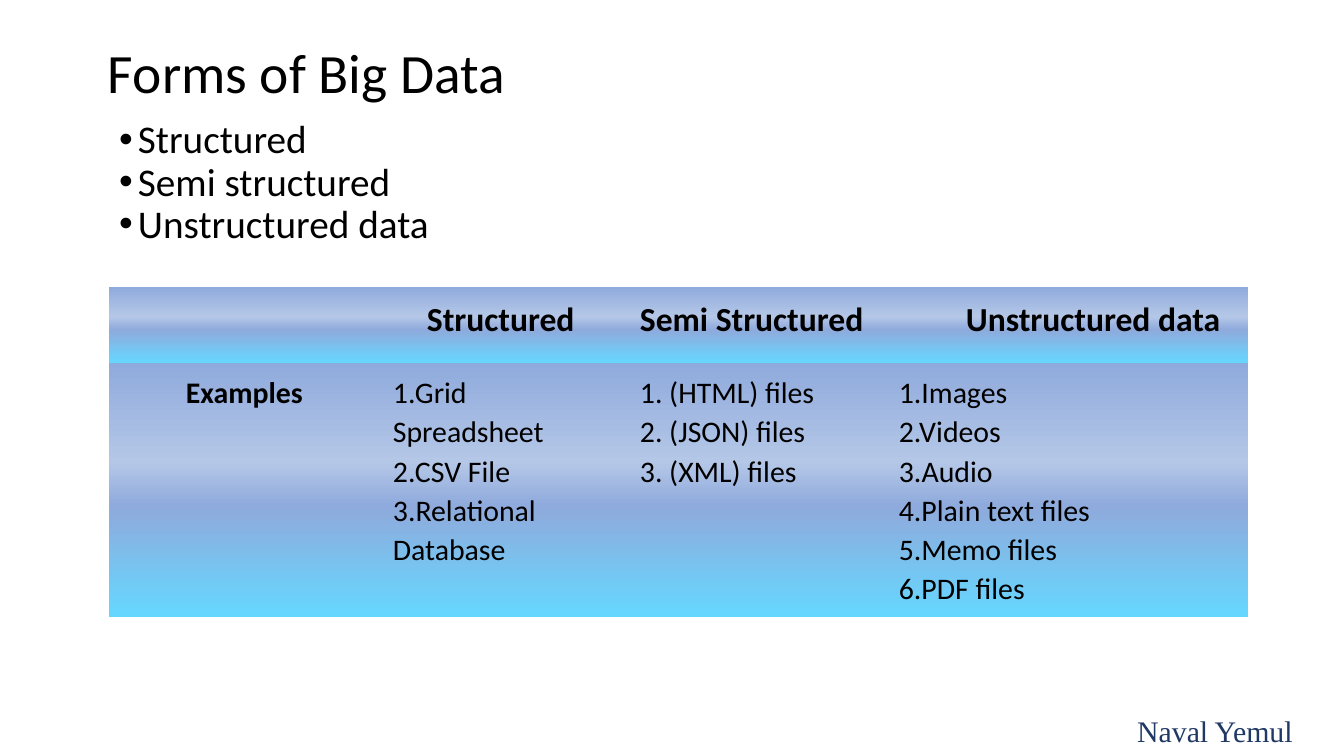
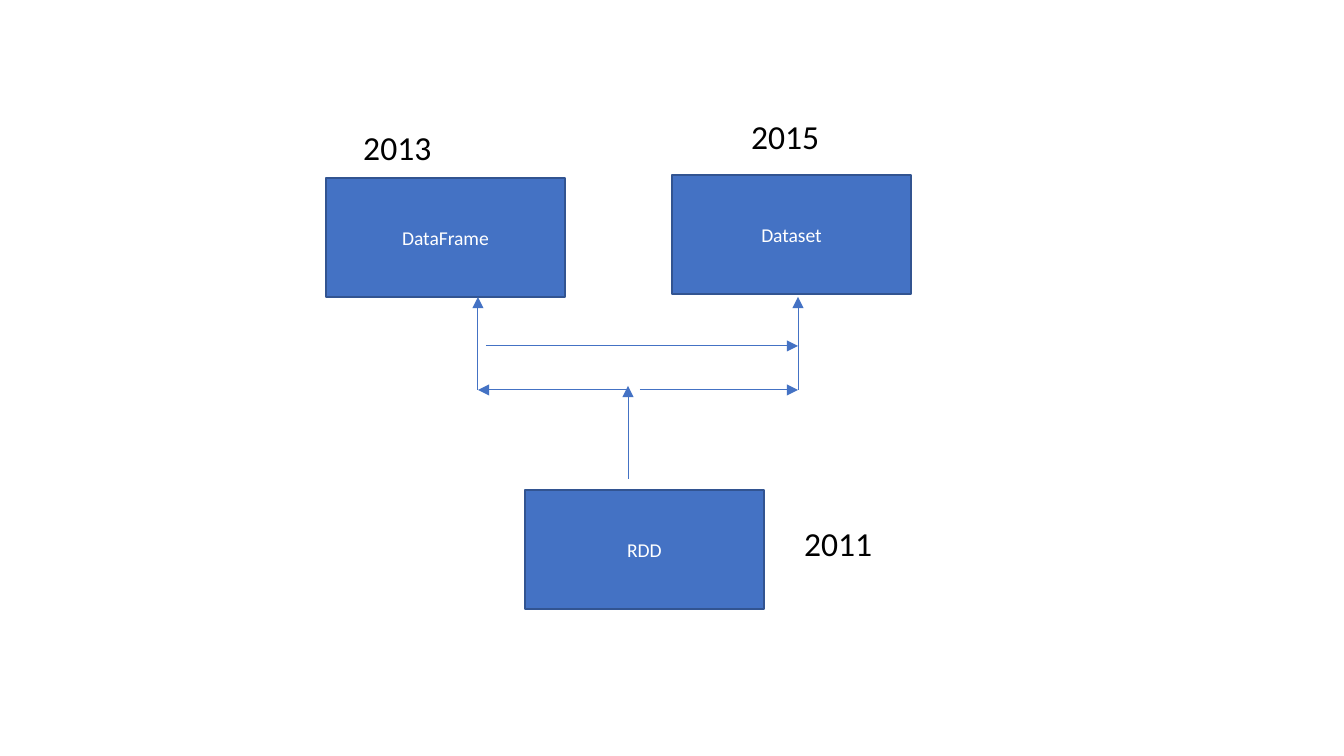
from lxml.etree import SubElement
from pptx import Presentation
from pptx.dml.color import RGBColor
from pptx.enum.shapes import MSO_CONNECTOR, MSO_SHAPE
from pptx.enum.text import MSO_ANCHOR, MSO_AUTO_SIZE, PP_ALIGN
from pptx.oxml.ns import qn
from pptx.util import Emu, Pt

# Shared measures, colours and fonts
PX_PER_INCH = 134.4
INSET = 10
BULLET_INDENT = 19
BLACK = RGBColor(0x00, 0x00, 0x00)
WHITE = RGBColor(0xFF, 0xFF, 0xFF)
BLUE = RGBColor(0x44, 0x72, 0xC4)
EDGE_BLUE = RGBColor(0x32, 0x54, 0x91)
NAVY = RGBColor(0x20, 0x38, 0x64)
PERIWINKLE = RGBColor(0x8F, 0xAA, 0xDC)
PALE_BLUE = RGBColor(0xB4, 0xC7, 0xE7)
CYAN = RGBColor(0x65, 0xD7, 0xFF)
CELL_GRADIENT = [(0, PERIWINKLE), (39, PALE_BLUE), (56, PERIWINKLE), (100, CYAN)]
SANS = "Calibri"
SERIF = "Times New Roman"
NO_TABLE_STYLE = "{2D5ABB26-0587-4C30-8999-92F81FD0307C}"

# Table content
COLUMN_WIDTHS = [274, 247, 259, 359]
ROW_HEIGHTS = [76, 238]
HEADINGS = ["Structured", "Semi Structured", "Unstructured data"]
HEADING_INDENTS = [34, 0, 67]
EXAMPLES = [
    ["1.Grid Spreadsheet", "2.CSV File", "3.Relational Database"],
    ["1. (HTML) files", "2. (JSON) files", "3. (XML) files"],
    ["1.Images", "2.Videos", "3.Audio", "4.Plain text files", "5.Memo files", "6.PDF files"],
]

# Diagram content
BOX_SIZE = (239, 119)
BOXES = [("DataFrame", 326, 178), ("Dataset", 672, 175), ("RDD", 525, 490)]
YEARS = [("2011", 791, 516), ("2013", 350, 120), ("2015", 738, 109)]
LEFT_X, CENTRE_X, RIGHT_X = 478, 628, 798
TIP_Y, FORK_Y = 297, 390
ARROWS = [
    (640, FORK_Y, RIGHT_X, FORK_Y),
    (CENTRE_X, FORK_Y, LEFT_X, FORK_Y),
    (CENTRE_X, 479, CENTRE_X, 386),
    (RIGHT_X, FORK_Y, RIGHT_X, TIP_Y),
    (LEFT_X, FORK_Y, LEFT_X, TIP_Y),
    (486, 346, RIGHT_X, 346),
]


def px(length):
    return Emu(round(length * 914400 / PX_PER_INCH))


def place(shape, left, top, width, height):
    shape.left, shape.top = px(left), px(top)
    shape.width, shape.height = px(width), px(height)


def set_insets(target):
    target.margin_left = target.margin_right = px(INSET)
    target.margin_top = target.margin_bottom = px(INSET)


def add_bullet(paragraph):
    properties = paragraph._p.get_or_add_pPr()
    properties.set("marL", str(px(BULLET_INDENT)))
    properties.set("indent", str(-px(BULLET_INDENT)))
    SubElement(properties, qn("a:buChar"), char="•")


def write_lines(frame, lines, size, color=BLACK, font=SANS, bold=False,
                align=PP_ALIGN.LEFT, spacing=1.0, indent=0, bulleted=False):
    """Fill a text frame with one evenly formatted paragraph per line."""
    frame.word_wrap = True
    for number, line in enumerate(lines):
        paragraph = frame.add_paragraph() if number else frame.paragraphs[0]
        paragraph.text = line
        if bulleted:
            add_bullet(paragraph)
        if indent:
            paragraph._p.get_or_add_pPr().set("marL", str(px(indent)))
        paragraph.alignment = align
        paragraph.line_spacing = spacing
        paragraph.space_before = Pt(0)
        paragraph.font.name = font
        paragraph.font.size = Pt(size)
        paragraph.font.bold = bold
        paragraph.font.color.rgb = color


def fill_placeholder(holder, area, lines, size, bulleted=False):
    place(holder, *area)
    frame = holder.text_frame
    frame.auto_size = MSO_AUTO_SIZE.NONE
    frame.vertical_anchor = MSO_ANCHOR.TOP
    set_insets(frame)
    write_lines(frame, lines, size, spacing=0.9, bulleted=bulleted)


def add_rectangle(page, area, fill, edge=None):
    box = page.shapes.add_shape(MSO_SHAPE.RECTANGLE, *map(px, area))
    box.shadow.inherit = False
    box.fill.solid()
    box.fill.fore_color.rgb = fill
    if edge is None:
        box.line.fill.background()
    else:
        box.line.color.rgb = edge
        box.line.width = Pt(1)
    return box


def add_signature(page):
    box = add_rectangle(page, (1124, 706, 219, 50), WHITE)
    box.text_frame.vertical_anchor = MSO_ANCHOR.TOP
    write_lines(box.text_frame, ["Naval Yemul"], 16, NAVY, SERIF)


def fill_gradient(cell):
    gradient = SubElement(cell._tc.get_or_add_tcPr(), qn("a:gradFill"), rotWithShape="1")
    stops = SubElement(gradient, qn("a:gsLst"))
    for percent, color in CELL_GRADIENT:
        stop = SubElement(stops, qn("a:gs"), pos=str(percent * 1000))
        SubElement(stop, qn("a:srgbClr"), val=str(color))
    SubElement(gradient, qn("a:lin"), ang="5400000", scaled="0")


def add_forms_table(page):
    area = (109, 287, sum(COLUMN_WIDTHS), sum(ROW_HEIGHTS))
    table = page.shapes.add_table(
        len(ROW_HEIGHTS), len(COLUMN_WIDTHS), *map(px, area)).table
    table.first_row = table.horz_banding = False
    table._tbl.tblPr.find(qn("a:tableStyleId")).text = NO_TABLE_STYLE
    for column, width in zip(table.columns, COLUMN_WIDTHS):
        column.width = px(width)
    for row, height in zip(table.rows, ROW_HEIGHTS):
        row.height = px(height)
    for cell in table.iter_cells():
        set_insets(cell)
        fill_gradient(cell)

    def write_cell(row, column, lines, size, **style):
        style.setdefault("align", PP_ALIGN.JUSTIFY)
        frame = table.cell(row, column).text_frame
        write_lines(frame, lines, size, spacing=1.07, **style)
        return frame

    write_cell(1, 0, ["Examples"], 16, bold=True, indent=67)
    columns = zip(HEADINGS, HEADING_INDENTS, EXAMPLES)
    for number, (heading, indent, examples) in enumerate(columns, start=1):
        last = number == len(HEADINGS)
        align = PP_ALIGN.LEFT if last else PP_ALIGN.JUSTIFY
        cells = [
            write_cell(0, number, [heading], 18, bold=True, indent=indent, align=align),
            write_cell(1, number, examples, 16),
        ]
        if last:
            for frame in cells:
                frame.paragraphs[-1].space_after = Pt(8)


def add_node(page, name, left, top):
    box = add_rectangle(page, (left, top, *BOX_SIZE), BLUE, EDGE_BLUE)
    box.text_frame.vertical_anchor = MSO_ANCHOR.MIDDLE
    write_lines(box.text_frame, [name], 10.5, WHITE, align=PP_ALIGN.CENTER)


def add_year(page, year, left, top):
    box = page.shapes.add_textbox(*map(px, (left, top, 192, 54)))
    write_lines(box.text_frame, [year], 18)


def add_arrow(page, *ends):
    arrow = page.shapes.add_connector(MSO_CONNECTOR.STRAIGHT, *map(px, ends))
    arrow.line.color.rgb = BLUE
    arrow.line.width = Pt(0.5)
    SubElement(arrow.line._get_or_add_ln(), qn("a:tailEnd"), type="triangle")
    SubElement(arrow._element.spPr, qn("a:effectLst"))


def build_forms_page(deck):
    page = deck.slides.add_slide(deck.slide_layouts[1])
    fill_placeholder(page.shapes.title, (98, 36, 1097, 63), ["Forms of Big Data"], 29.7)
    fill_placeholder(page.placeholders[1], (109, 110, 1074, 176),
                     ["Structured", "Semi structured", "Unstructured data"], 21,
                     bulleted=True)
    add_forms_table(page)
    add_signature(page)


def build_history_page(deck):
    page = deck.slides.add_slide(deck.slide_layouts[6])
    for node in BOXES:
        add_node(page, *node)
    for arrow in ARROWS:
        add_arrow(page, *arrow)
    for year in YEARS:
        add_year(page, *year)


def main():
    deck = Presentation()
    deck.slide_width, deck.slide_height = px(1344), px(756)
    build_forms_page(deck)
    build_history_page(deck)
    deck.save("out.pptx")


if __name__ == "__main__":
    main()
